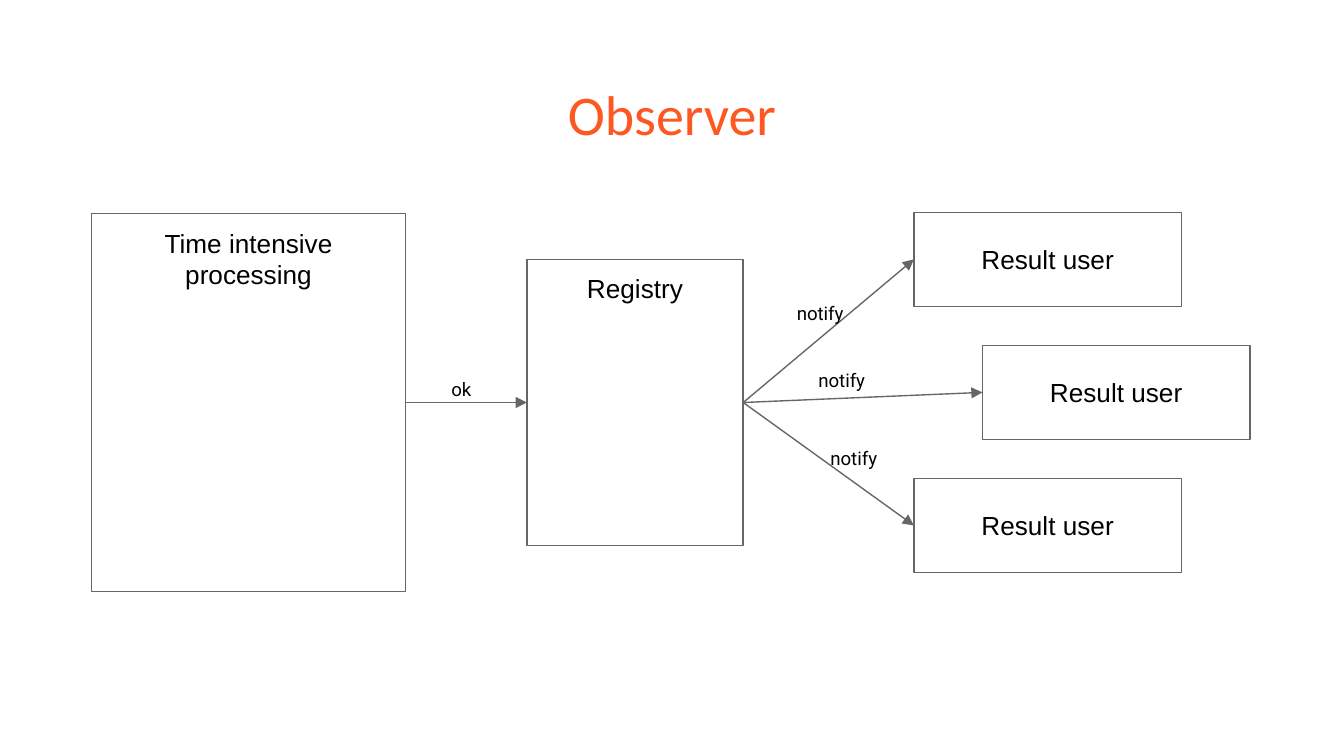
from lxml import etree
from pptx import Presentation
from pptx.dml.color import RGBColor
from pptx.enum.shapes import MSO_CONNECTOR, MSO_SHAPE
from pptx.enum.text import MSO_ANCHOR, PP_ALIGN
from pptx.oxml.ns import qn
from pptx.util import Inches, Pt

SLIDE_WIDTH = 10
SLIDE_HEIGHT = SLIDE_WIDTH * 9 / 16
LINE = "666666"
LEFT_SIDE, RIGHT_SIDE = 1, 3
FORMATS = {
    "title": {"name": "Calibri", "size": Pt(30), "color": "FF5722"},
    "box": {"name": "Arial", "size": Pt(14), "color": "000000"},
    "label": {"name": "Roboto", "size": Pt(10), "color": "000000"},
}


def rgb(hex_color):
    return RGBColor.from_string(hex_color)


def write_text(shape, text, style, align, anchor=MSO_ANCHOR.TOP):
    frame = shape.text_frame
    frame_format = {"word_wrap": True, "vertical_anchor": anchor}
    for side in ("left", "top", "right", "bottom"):
        frame_format[f"margin_{side}"] = Inches(0.1)
    for name, value in frame_format.items():
        setattr(frame, name, value)
    paragraph = frame.paragraphs[0]
    paragraph.alignment = align
    run = paragraph.add_run()
    run.text = text
    for name, value in FORMATS[style].items():
        if name == "color":
            run.font.color.rgb = rgb(value)
        else:
            setattr(run.font, name, value)


def add_text(slide, box, text, style, align=PP_ALIGN.LEFT):
    shape = slide.shapes.add_textbox(*map(Inches, box))
    write_text(shape, text, style, align)


def add_box(slide, box, text, anchor=MSO_ANCHOR.TOP):
    shape = slide.shapes.add_shape(MSO_SHAPE.RECTANGLE, *map(Inches, box))
    shape.shadow.inherit = False
    shape.fill.background()
    shape.line.color.rgb = rgb(LINE)
    shape.line.width = Pt(0.75)
    write_text(shape, text, "box", PP_ALIGN.CENTER, anchor)
    return shape


def add_arrow(slide, source, target):
    """Join the right side of source to the left side of target."""
    connector = slide.shapes.add_connector(MSO_CONNECTOR.STRAIGHT, 0, 0, 0, 0)
    connector.begin_connect(source, RIGHT_SIDE)
    connector.end_connect(target, LEFT_SIDE)
    connector.line.color.rgb = rgb(LINE)
    connector.line.width = Pt(0.75)
    etree.SubElement(connector.line._get_or_add_ln(), qn("a:tailEnd"), type="triangle")
    etree.SubElement(connector._element.spPr, qn("a:effectLst"))


def add_observer_diagram(slide, box):
    left, top, width, height = box
    middle = top + height / 2

    processing = add_box(slide, (left, middle - 1.41, 2.34, 2.81),
                         "Time intensive processing")
    registry = add_box(slide, (left + 3.24, middle - 1.07, 1.61, 2.13), "Registry")
    add_arrow(slide, processing, registry)
    add_text(slide, (left + 2.58, middle - 0.27, 0.51, 0.37), "ok", "label")

    user_width, user_height, user_pitch = 1.99, 0.7, 0.99
    right = left + width - user_width
    # Indent of each user from the right edge, then its label's offset
    users = [(0.51, 5.15, -0.84), (0, 5.31, -0.34), (0.51, 5.4, 0.24)]
    for row, (indent, label_x, label_y) in enumerate(users):
        user = add_box(
            slide,
            (right - indent, top + row * user_pitch, user_width, user_height),
            "Result user", MSO_ANCHOR.MIDDLE)
        add_arrow(slide, registry, user)
        add_text(slide, (left + label_x, middle + label_y, 0.61, 0.37),
                 "notify", "label")


def main():
    presentation = Presentation()
    presentation.slide_width = Inches(SLIDE_WIDTH)
    presentation.slide_height = Inches(SLIDE_HEIGHT)
    slide = presentation.slides.add_slide(presentation.slide_layouts[6])
    add_text(slide, (0.34, 0.49, 9.32, 0.63), "Observer", "title", PP_ALIGN.CENTER)
    add_observer_diagram(slide, (0.68, 1.58, 8.62, 2.84))
    presentation.save("out.pptx")


if __name__ == "__main__":
    main()
